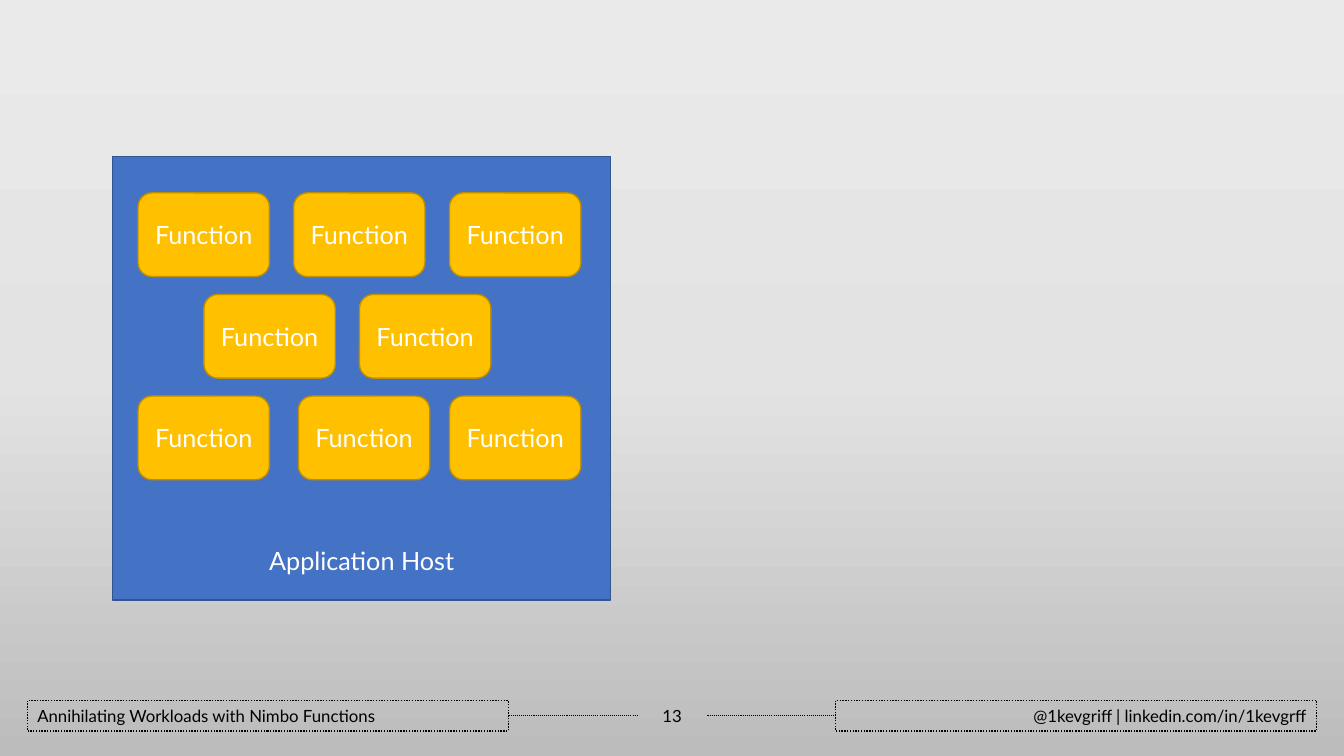
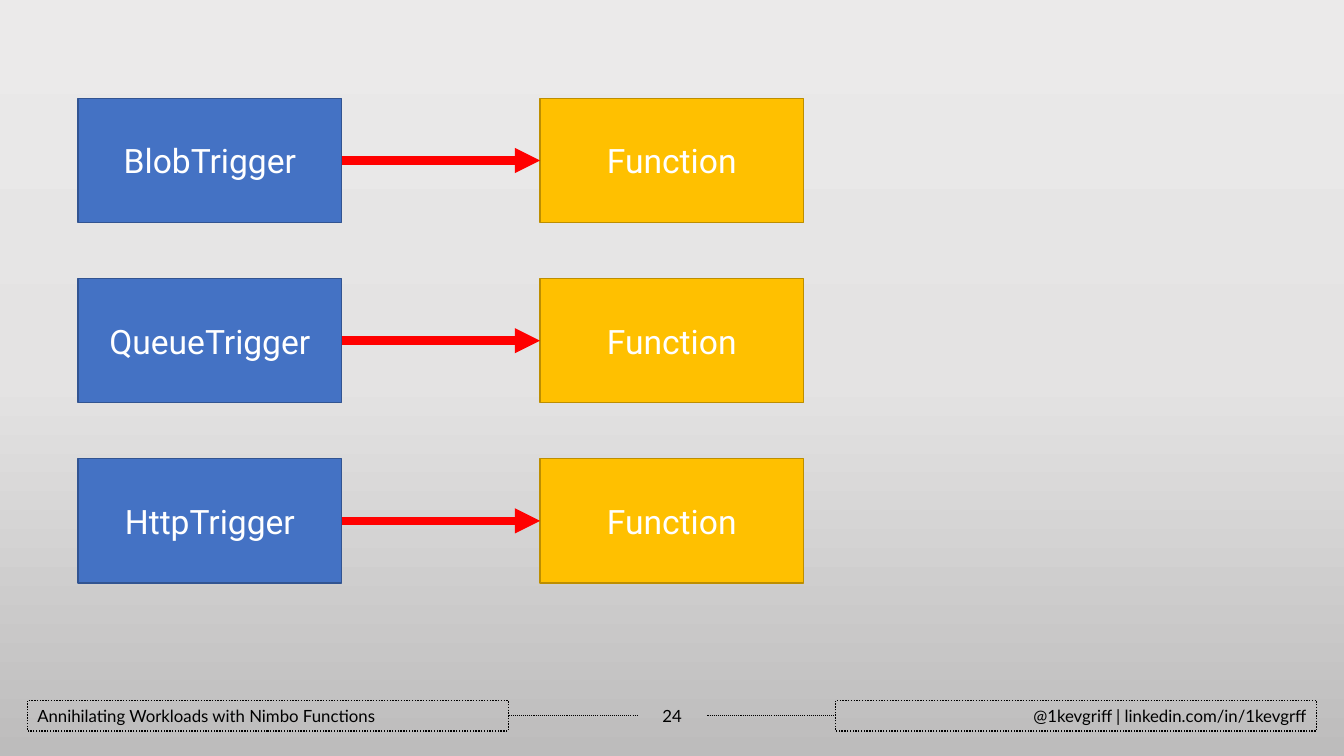
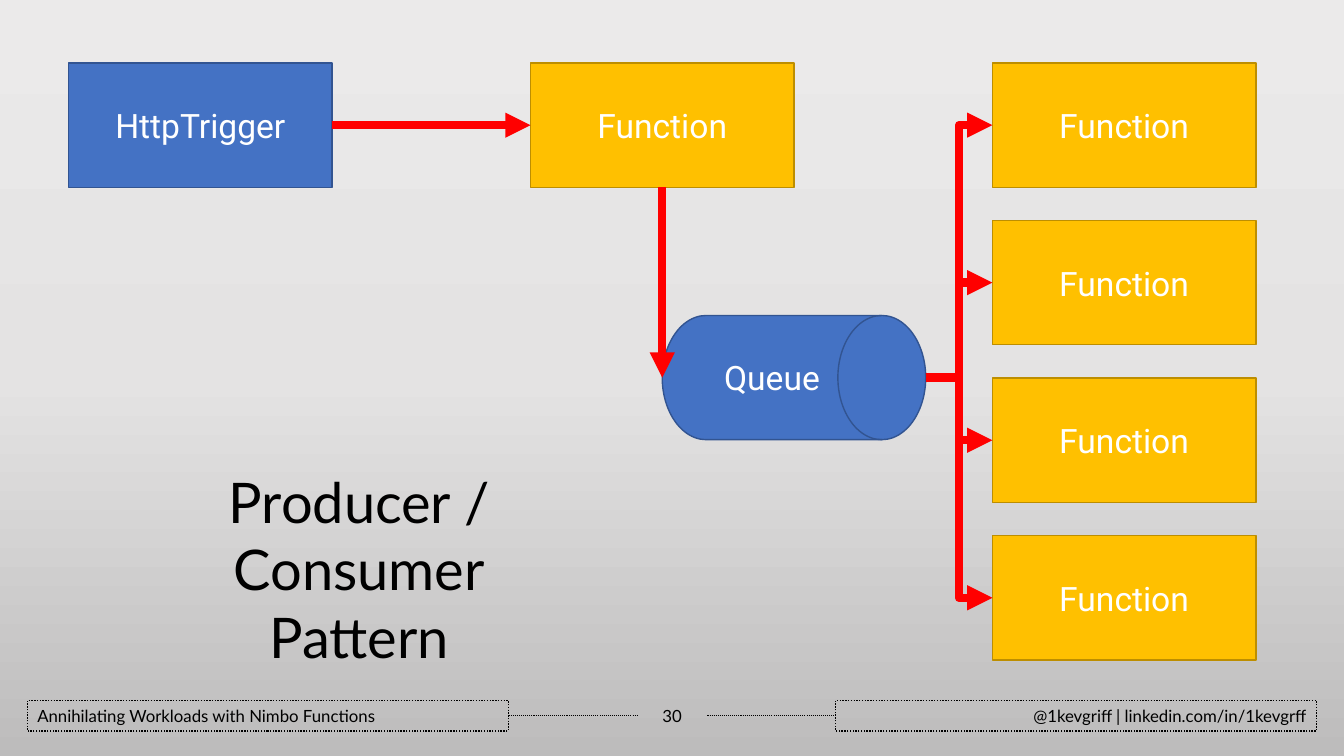
from copy import deepcopy
from dataclasses import dataclass

from lxml.etree import SubElement
from pptx import Presentation
from pptx.dml.color import RGBColor
from pptx.enum.dml import MSO_LINE
from pptx.enum.shapes import MSO_CONNECTOR, MSO_SHAPE
from pptx.enum.text import MSO_ANCHOR, MSO_AUTO_SIZE, PP_ALIGN
from pptx.oxml.ns import qn
from pptx.util import Cm, Pt

TOP, LEFT, BOTTOM, RIGHT = range(4)


@dataclass(frozen=True)
class Theme:
    blue: tuple = ("4472C4", "325491")  # fill, outline
    gold: tuple = ("FFC000", "BD8E00")
    white: str = "FFFFFF"
    black: str = "000000"
    arrow: str = "FF0000"
    background: tuple = ((0, "EBEAEA"), (0.5, "E4E3E3"), (1, "BDBCBC"))
    text_font: str = "Lato"
    box_font: str = "Roboto"
    title_size: int = 40
    box_size: int = 24
    label_size: int = 18
    footer_size: int = 12


THEME = Theme()


def rgb(color):
    return RGBColor.from_string(color)


def write(tf, text, size, color=THEME.white, font=THEME.text_font,
          align=PP_ALIGN.CENTER, anchor=MSO_ANCHOR.MIDDLE, bottom=0.13):
    """Fill a text frame, one paragraph per line of text."""
    tf.word_wrap = True
    tf.auto_size = MSO_AUTO_SIZE.NONE
    tf.vertical_anchor = anchor
    tf.margin_bottom = Cm(bottom)
    for i, line in enumerate(text.split("\n")):
        p = tf.add_paragraph() if i else tf.paragraphs[0]
        p.alignment = align
        r = p.add_run()
        r.text = line
        r.font.size, r.font.name = Pt(size), font
        r.font.color.rgb = rgb(color)


class Deck:
    BOX_W, BOX_H = 6.64, 3.13
    FOOTER_Y, FOOTER_H = 17.65, 0.77

    def __init__(self):
        self.prs = Presentation()
        self.prs.slide_width, self.prs.slide_height = Cm(33.87), Cm(19.05)
        self.master = self.prs.slide_master
        self.s = None
        self.paint_background()

    def paint_background(self):
        fill = self.master.background.fill
        fill.gradient()
        fill.gradient_angle = 270
        stops = self.master.element.xpath(".//p:bgPr//a:gsLst")[0]
        stops.append(deepcopy(stops[0]))
        for stop, (position, color) in zip(fill.gradient_stops, THEME.background):
            stop.position = position
            stop.color.rgb = rgb(color)

    def new_slide(self, number, layout=6):
        first = self.s is None
        self.s = self.prs.slides.add_slide(self.prs.slide_layouts[layout])
        if first:
            self.footer()
        tb = self.s.shapes.add_textbox(Cm(16.05), Cm(self.FOOTER_Y),
                                       Cm(1.78), Cm(self.FOOTER_H))
        write(tb.text_frame, str(number), THEME.footer_size, THEME.black)

    def footer(self):
        """Draw the shared footer and hand it over to the slide master."""
        parts = []
        for x, text, align in (
                (0.69, "Annihilating Workloads with Nimbo Functions", PP_ALIGN.LEFT),
                (21.06, "@1kevgriff | linkedin.com/in/1kevgrff", PP_ALIGN.RIGHT)):
            sp = self.shape(MSO_SHAPE.RECTANGLE, x, self.FOOTER_Y, 12.12,
                            self.FOOTER_H, (None, THEME.black))
            write(sp.text_frame, text, THEME.footer_size, THEME.black, align=align)
            parts.append(sp)
        y = self.FOOTER_Y + self.FOOTER_H / 2
        for x in (12.82, 17.83):
            parts.append(self.line((x, y), (x + 3.23, y), THEME.black, 0.75))
        for i, part in enumerate(parts):
            part.line.dash_style = MSO_LINE.ROUND_DOT
            part.element.xpath(".//p:cNvPr")[0].set("id", str(100 + i))
            self.master.element.cSld.spTree.append(part.element)

    def shape(self, kind, x, y, w, h, colors):
        fill, outline = colors
        sp = self.s.shapes.add_shape(kind, Cm(x), Cm(y), Cm(w), Cm(h))
        sp.shadow.inherit = False
        if fill:
            sp.fill.solid()
            sp.fill.fore_color.rgb = rgb(fill)
        else:
            sp.fill.background()
        sp.line.color.rgb = rgb(outline)
        sp.line.width = Pt(1)
        return sp

    def box(self, text, x, y, colors=THEME.gold, kind=MSO_SHAPE.RECTANGLE):
        sp = self.shape(kind, x, y, self.BOX_W, self.BOX_H, colors)
        write(sp.text_frame, text, THEME.box_size, font=THEME.box_font)
        return sp

    def line(self, start, end, color, width, kind=MSO_CONNECTOR.STRAIGHT):
        cx = self.s.shapes.add_connector(kind, *map(Cm, start + end))
        SubElement(cx.element.spPr, qn("a:effectLst"))
        cx.line.color.rgb = rgb(color)
        cx.line.width = Pt(width)
        return cx

    def arrow(self, start=(0, 0), end=(0, 0), kind=MSO_CONNECTOR.STRAIGHT):
        cx = self.line(start, end, THEME.arrow, 6, kind)
        SubElement(cx.line._get_or_add_ln(), qn("a:tailEnd"), type="triangle")
        return cx

    def join(self, source, source_side, target, target_side):
        cx = self.arrow()
        cx.begin_connect(source, source_side)
        cx.end_connect(target, target_side)

    def title(self, text, x, y, w, h):
        sp = self.s.shapes.title
        sp.left, sp.top, sp.width, sp.height = map(Cm, (x, y, w, h))
        write(sp.text_frame, text, THEME.title_size, THEME.black,
              anchor=MSO_ANCHOR.TOP)


def host_slide(deck):
    deck.new_slide(13)
    host = deck.shape(MSO_SHAPE.RECTANGLE, 2.84, 3.94, 12.55, 11.18, THEME.blue)
    write(host.text_frame, "Application Host", THEME.label_size,
          anchor=MSO_ANCHOR.BOTTOM, bottom=0.62)
    rows = ((3.48, 7.4, 11.33), (5.14, 9.06), (3.48, 7.52, 11.33))
    for i, lefts in enumerate(rows):
        for x in lefts:
            sp = deck.shape(MSO_SHAPE.ROUNDED_RECTANGLE, x, 4.86 + i * 2.56,
                            3.31, 2.11, THEME.gold)
            write(sp.text_frame, "Function", THEME.label_size)


def trigger_slide(deck):
    deck.new_slide(24)
    for i, name in enumerate(("BlobTrigger", "QueueTrigger", "HttpTrigger")):
        y = 2.48 + i * 4.54
        trigger = deck.box(name, 1.97, y, THEME.blue)
        function = deck.box("Function", 13.61, y)
        deck.join(trigger, RIGHT, function, LEFT)


def pattern_slide(deck):
    deck.new_slide(30, layout=5)
    left, top, column, row = 1.73, 1.59, 11.64, 3.97

    # Producer
    trigger = deck.box("HttpTrigger", left, top, THEME.blue)
    producer = deck.box("Function", left + column, top)
    deck.join(trigger, RIGHT, producer, LEFT)
    queue_x, queue_y = left + column + deck.BOX_W / 2, 7.95
    queue = deck.box("Queue", queue_x, queue_y, THEME.blue,
                     MSO_SHAPE.FLOWCHART_DIRECT_ACCESS_STORAGE)
    deck.join(producer, BOTTOM, queue, LEFT)

    # Consumers
    x, half = left + 2 * column, deck.BOX_H / 2
    for i in range(4):
        y = top + i * row
        deck.box("Function", x, y)
        deck.arrow((queue_x + deck.BOX_W, queue_y + half), (x, y + half),
                   MSO_CONNECTOR.ELBOW)

    deck.title("Producer / Consumer\nPattern", 2.26, 11.66, 13.59, 5.33)


def main():
    deck = Deck()
    host_slide(deck)
    trigger_slide(deck)
    pattern_slide(deck)
    deck.prs.save("out.pptx")


if __name__ == "__main__":
    main()
